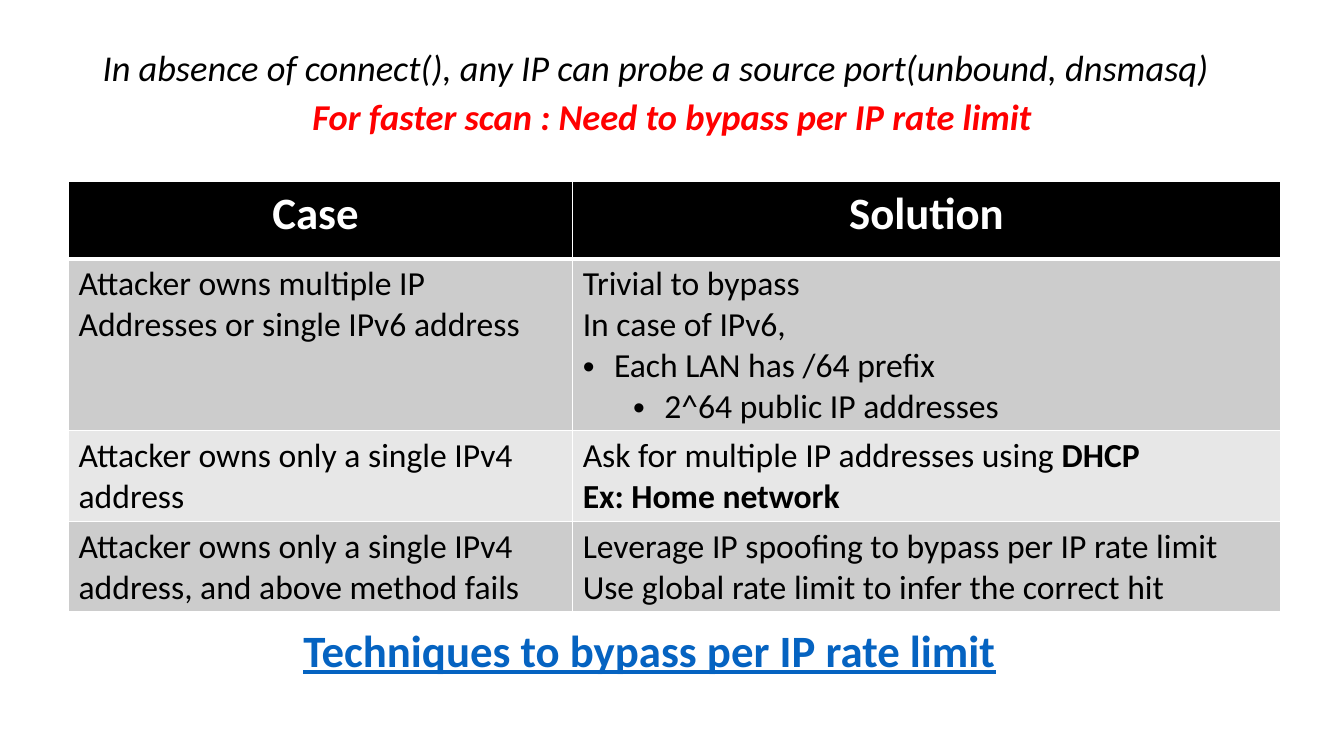
import pptx
import pptx.dml.color
import pptx.enum.text
import pptx.oxml.ns
import pptx.util
from lxml import etree

SLIDE_WIDTH, SLIDE_HEIGHT = 13.33, 7.5
FONT = "Calibri"
BLACK, WHITE, RED, LINK_BLUE = "000000", "FFFFFF", "FF0000", "0563C1"
BAND_FILLS = ("CCCCCC", "E7E7E7")
CENTER = pptx.enum.text.PP_ALIGN.CENTER
CASE_SHARE = 5 / 12.02
ROW_HEIGHTS = (0.77, 1.7, 0.79, 0.79)
BULLET_INDENT, LEVEL_STEP = 0.31, 0.5

HEADINGS = ("Case ", "Solution")
CASES = (
    ("Attacker owns multiple IP Addresses or single IPv6 address",
     [(None, [("Trivial to bypass", False)]),
      (None, [("In case of IPv6,", False)]),
      (0, [("Each LAN has /64 prefix", False)]),
      (1, [("2^64 public IP addresses", False)])]),
    ("Attacker owns only a single IPv4 address",
     [(None, [("Ask for multiple IP addresses using ", False), ("DHCP", True)]),
      (None, [("Ex: Home network", True)])]),
    ("Attacker owns only a single IPv4 address, and above method fails",
     [(None, [("Leverage IP spoofing to bypass per IP rate limit", False)]),
      (None, [("Use global rate limit to infer the correct hit", False)])]),
)


def color(hex_code):
    """Return the RGB colour for a hex string."""
    return pptx.dml.color.RGBColor.from_string(hex_code)


def inches(*lengths):
    """Convert lengths in inches to a list of slide units."""
    return [pptx.util.Inches(length) for length in lengths]


def add_run(paragraph, text, size, hex_code, bold=False, italic=False, underline=None):
    """Append one styled run to a paragraph."""
    run = paragraph.add_run()
    run.text = text
    font = run.font
    font.name, font.size = FONT, pptx.util.Pt(size)
    font.bold, font.italic, font.underline = bold, italic, underline
    font.color.rgb = color(hex_code)


def paragraphs(frame, count):
    """Return the given number of paragraphs in a text frame."""
    return [frame.paragraphs[0]] + [frame.add_paragraph() for _ in range(count - 1)]


def add_bullet(paragraph, level):
    """Give a paragraph a hanging bullet at the given level."""
    paragraph.level = level
    properties = paragraph._p.get_or_add_pPr()
    left, hang = inches(BULLET_INDENT + level * LEVEL_STEP, BULLET_INDENT)
    properties.set("marL", str(left))
    properties.set("indent", str(-hang))
    bullet_font = etree.SubElement(properties, pptx.oxml.ns.qn("a:buFont"))
    bullet_font.set("typeface", "Arial")
    etree.SubElement(properties, pptx.oxml.ns.qn("a:buChar")).set("char", "•")


def style_cell(cell, fill_hex, bottom_width=1, top_width=1):
    """Set the white borders and the fill of a cell."""
    properties = cell._tc.get_or_add_tcPr()
    sides = {"L": 1, "R": 1, "T": top_width, "B": bottom_width}
    for side, width in sides.items():
        border = etree.SubElement(properties, pptx.oxml.ns.qn(f"a:ln{side}"))
        border.set("w", str(pptx.util.Pt(width)))
        solid = etree.SubElement(border, pptx.oxml.ns.qn("a:solidFill"))
        etree.SubElement(solid, pptx.oxml.ns.qn("a:srgbClr")).set("val", WHITE)
    cell.fill.solid()
    cell.fill.fore_color.rgb = color(fill_hex)


def add_premise(slide, box):
    """Write the two opening statements in the given box."""
    frame = slide.shapes.add_textbox(*inches(*box)).text_frame
    frame.word_wrap = True
    finding, need = paragraphs(frame, 2)
    finding.line_spacing = need.line_spacing = 0.8
    need.space_before = pptx.util.Pt(10)
    need.alignment = CENTER
    add_run(finding, "In absence of connect(), any IP can probe a source port(unbound, dnsmasq)",
            26, BLACK, italic=True)
    add_run(need, "For faster scan : Need to bypass per IP rate limit",
            26, RED, bold=True, italic=True)


def add_case_table(slide, box):
    """Place the table of cases and solutions in the given box."""
    width = box[2]
    table = slide.shapes.add_table(len(ROW_HEIGHTS), len(HEADINGS), *inches(*box)).table
    for column, share in zip(table.columns, (CASE_SHARE, 1 - CASE_SHARE)):
        column.width = pptx.util.Inches(width * share)
    for row, height in zip(table.rows, ROW_HEIGHTS):
        row.height = pptx.util.Inches(height)
    for column, heading in enumerate(HEADINGS):
        cell = table.cell(0, column)
        style_cell(cell, BLACK, bottom_width=3)
        title = cell.text_frame.paragraphs[0]
        title.alignment = CENTER
        add_run(title, heading, 32, WHITE, bold=True)
    for row, (case, solution) in enumerate(CASES, start=1):
        for column, lines in enumerate(([(None, [(case, False)])], solution)):
            cell = table.cell(row, column)
            style_cell(cell, BAND_FILLS[(row - 1) % 2], top_width=3 if row == 1 else 1)
            for paragraph, (level, runs) in zip(paragraphs(cell.text_frame, len(lines)), lines):
                if level is not None:
                    add_bullet(paragraph, level)
                for text, bold in runs:
                    add_run(paragraph, text, 24, BLACK, bold=bold)


def add_caption(slide, box):
    """Write the underlined closing line in the given box."""
    frame = slide.shapes.add_textbox(*inches(*box)).text_frame
    frame.word_wrap = False
    frame.auto_size = pptx.enum.text.MSO_AUTO_SIZE.SHAPE_TO_FIT_TEXT
    add_run(frame.paragraphs[0], "Techniques to bypass per IP rate limit",
            32, LINK_BLUE, bold=True, underline=True)


def main():
    """Build the slide and save it."""
    deck = pptx.Presentation()
    deck.slide_width, deck.slide_height = inches(SLIDE_WIDTH, SLIDE_HEIGHT)
    slide = deck.slides.add_slide(deck.slide_layouts[6])
    add_premise(slide, (0.92, 0.48, 11.5, 0.95))
    add_case_table(slide, (0.68, 1.8, 12.02, sum(ROW_HEIGHTS)))
    add_caption(slide, (2.91, 6.13, 7.13, 0.64))
    deck.save("out.pptx")


if __name__ == "__main__":
    main()
